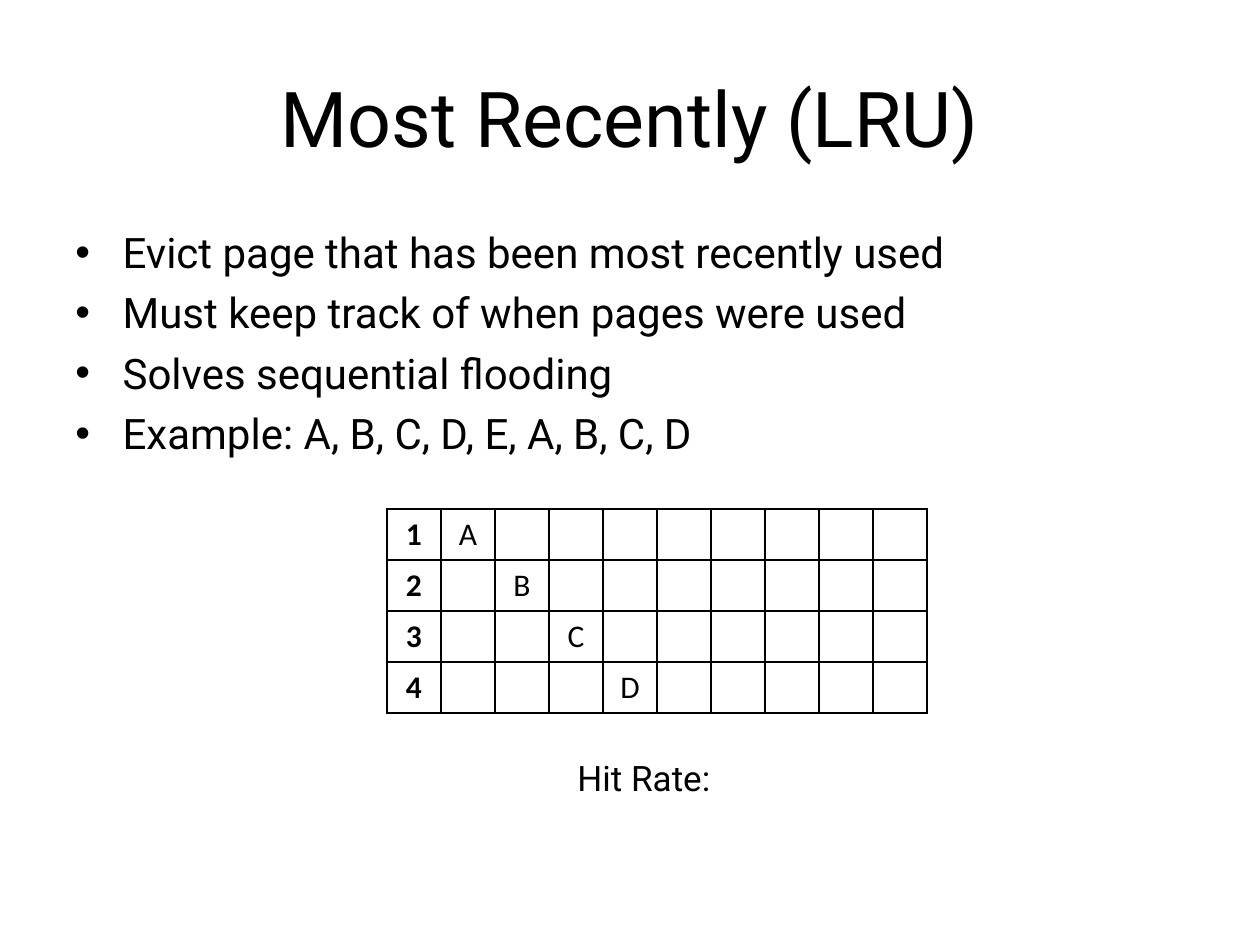
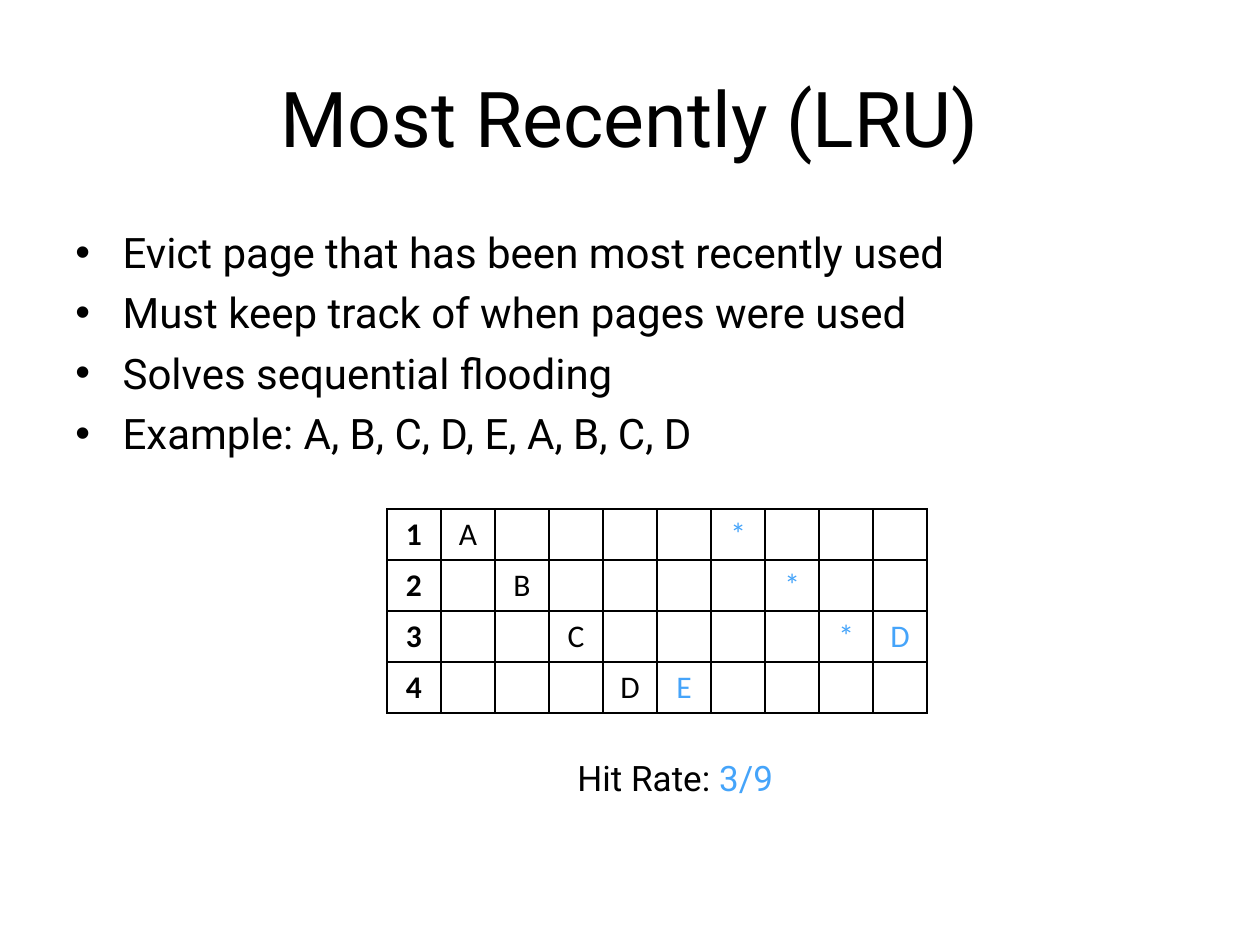
import pptx
import pptx.dml.color
import pptx.enum.text
import pptx.oxml
import pptx.oxml.ns
import pptx.util
import lxml.etree

Pt = pptx.util.Pt
ALIGN = pptx.enum.text.PP_ALIGN
ANCHOR = pptx.enum.text.MSO_ANCHOR

# Content
TITLE = "Most Recently (LRU)"
BULLETS = [
    "Evict page that has been most recently used",
    "Must keep track of when pages were used",
    "Solves sequential flooding",
    "Example: A, B, C, D, E, A, B, C, D",
]
FRAMES, STEPS = 4, 9
LOADED = {(1, 1): "A", (2, 2): "B", (3, 3): "C", (4, 4): "D"}  # (frame, step)
ANSWERS = {(4, 5): "E", (1, 6): "*", (2, 7): "*", (3, 8): "*", (3, 9): "D"}
SLIDES = [
    {"answers": {}, "hit_rate": ""},
    {"answers": ANSWERS, "hit_rate": "3/9"},
]

# Shared style
COLORS = {"text": "000000", "answer": "45A4FA", "border": "000000"}
FONT, TABLE_FONT = "Roboto", "Calibri"
COL_W, ROW_H = 30.87, 29.16
TABLE_LEFT, TABLE_TOP = 221.1, 290.9


def write(p, text, size=24, font=FONT, color="text", bold=False, align=None):
    """Add a formatted run to a paragraph."""
    r = p.add_run()
    r.text = text
    r.font.size = Pt(size)
    r.font.name = font
    r.font.bold = bold
    r.font.color.rgb = pptx.dml.color.RGBColor.from_string(COLORS[color])
    if align is not None:
        p.alignment = align


def add_child(parent, tag, **attrs):
    child = lxml.etree.SubElement(parent, pptx.oxml.ns.qn(tag))
    for name, value in attrs.items():
        child.set(name, str(value))
    return child


def add_title(slide):
    sp = slide.shapes.title
    sp.left, sp.top, sp.width, sp.height = Pt(36), Pt(21.6), Pt(648), Pt(90)
    sp.text_frame.vertical_anchor = ANCHOR.MIDDLE
    write(sp.text_frame.paragraphs[0], TITLE, size=44, align=ALIGN.CENTER)


def add_bullets(slide):
    sp = slide.shapes.add_textbox(Pt(36), Pt(126), Pt(648), Pt(150))
    tf = sp.text_frame
    tf.word_wrap = True
    for i, text in enumerate(BULLETS):
        p = tf.add_paragraph() if i else tf.paragraphs[0]
        if i:
            p.space_before = Pt(5.6)
        pPr = p._p.get_or_add_pPr()
        pPr.set("marL", str(Pt(27)))
        pPr.set("indent", str(-Pt(27)))
        add_child(pPr, "a:buFont", typeface="Arial")
        add_child(pPr, "a:buChar", char="•")
        write(p, text)


def add_borders(cell):
    tcPr = cell._tc.get_or_add_tcPr()
    for i, side in enumerate(("a:lnL", "a:lnR", "a:lnT", "a:lnB")):
        ln = add_child(tcPr, side, w=Pt(1))
        add_child(add_child(ln, "a:solidFill"), "a:srgbClr", val=COLORS["border"])
        tcPr.insert(i, ln)  # borders come before the cell fill


def add_frame_table(slide, answers):
    cols = STEPS + 1
    table = slide.shapes.add_table(
        FRAMES, cols, Pt(TABLE_LEFT), Pt(TABLE_TOP),
        Pt(COL_W * cols), Pt(ROW_H * FRAMES)).table
    table.first_row = table.horz_banding = False
    for col in table.columns:
        col.width = Pt(COL_W)
    for row in table.rows:
        row.height = Pt(ROW_H)
    for frame in range(1, FRAMES + 1):
        for step in range(cols):
            cell = table.cell(frame - 1, step)
            cell.fill.background()
            add_borders(cell)
            key = (frame, step)
            text = str(frame) if step == 0 else LOADED.get(key) or answers.get(key)
            if text:
                write(cell.text_frame.paragraphs[0], text, size=18, font=TABLE_FONT,
                      color="answer" if key in answers else "text",
                      bold=step == 0, align=ALIGN.CENTER)


def add_hit_rate(slide, value):
    tf = slide.shapes.add_textbox(Pt(330), Pt(432.3), Pt(180), Pt(24)).text_frame
    tf.word_wrap = True
    tf.margin_left = tf.margin_right = tf.margin_top = tf.margin_bottom = 0
    p = tf.paragraphs[0]
    write(p, "Hit Rate: " if value else "Hit Rate:", size=20)
    if value:
        write(p, value, size=20, color="answer")


def main():
    prs = pptx.Presentation()
    prs.slide_width, prs.slide_height = Pt(720), Pt(540)
    for content in SLIDES:
        slide = prs.slides.add_slide(prs.slide_layouts[5])
        add_title(slide)
        add_bullets(slide)
        add_frame_table(slide, content["answers"])
        add_hit_rate(slide, content["hit_rate"])
    prs.save("out.pptx")


if __name__ == "__main__":
    main()
